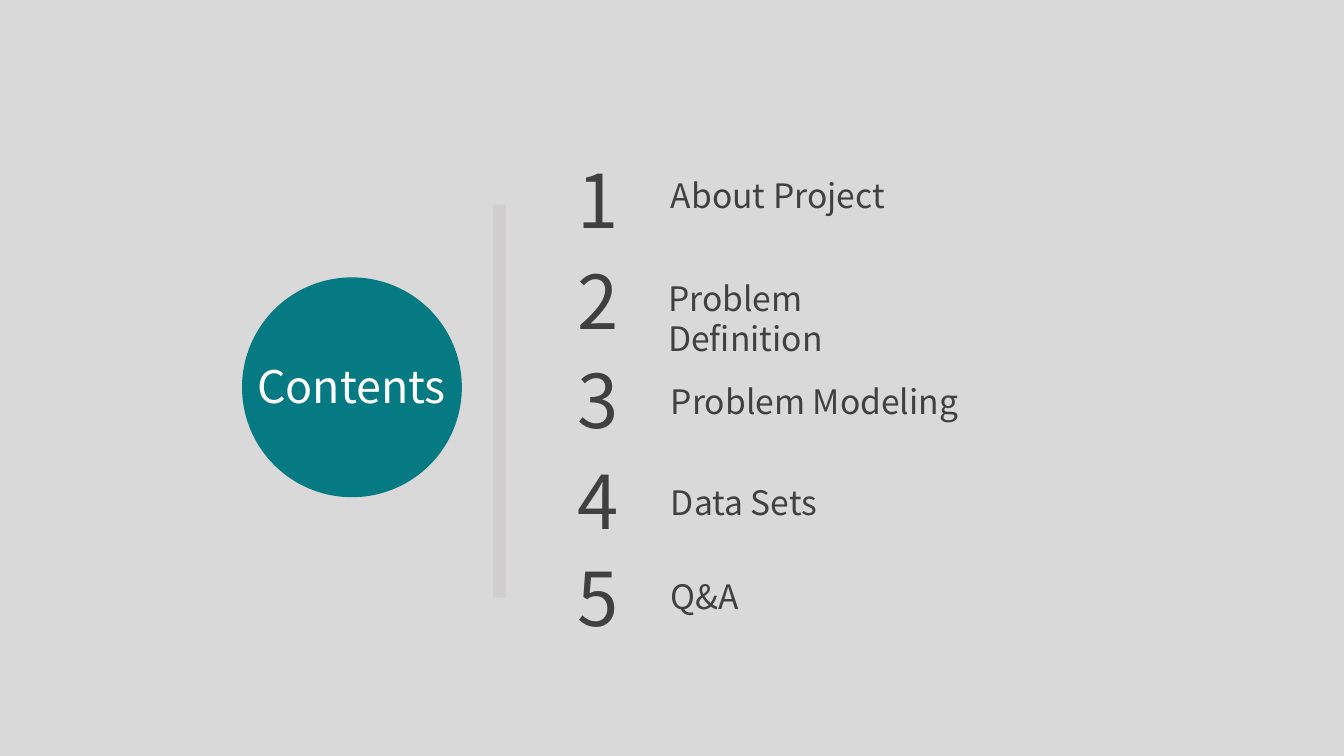
from dataclasses import dataclass

from pptx import Presentation
from pptx.dml.color import RGBColor
from pptx.enum.shapes import MSO_SHAPE
from pptx.enum.text import MSO_ANCHOR, MSO_AUTO_SIZE, PP_ALIGN
from pptx.util import Cm, Pt


@dataclass(frozen=True)
class Theme:
    font: str = "Noto Sans CJK KR"
    background: RGBColor = RGBColor(0xD9, 0xD9, 0xD9)
    accent: RGBColor = RGBColor(0x06, 0x7A, 0x82)
    divider: RGBColor = RGBColor(0xD0, 0xCE, 0xCE)
    text: RGBColor = RGBColor(0x40, 0x40, 0x40)
    title_text: RGBColor = RGBColor(0xFF, 0xFF, 0xFF)
    title_size: int = 32
    number_size: int = 53
    label_size: int = 24


class SlideBuilder:
    def __init__(self, slide, theme):
        self.slide = slide
        self.theme = theme
        fill = slide.background.fill
        fill.solid()
        fill.fore_color.rgb = theme.background

    def block(self, preset, left, top, width, height, color):
        shape = self.slide.shapes.add_shape(
            preset, Cm(left), Cm(top), Cm(width), Cm(height))
        shape.shadow.inherit = False
        shape.fill.solid()
        shape.fill.fore_color.rgb = color
        shape.line.fill.background()
        return shape

    def set_text(self, shape, text, size, color, wrap=False, align=PP_ALIGN.LEFT):
        frame = shape.text_frame
        frame.word_wrap = wrap
        frame.auto_size = MSO_AUTO_SIZE.SHAPE_TO_FIT_TEXT
        frame.vertical_anchor = MSO_ANCHOR.TOP
        paragraph = frame.paragraphs[0]
        paragraph.alignment = align
        paragraph.line_spacing = 1.0
        run = paragraph.add_run()
        run.text = text
        run.font.name = self.theme.font
        run.font.size = Pt(size)
        run.font.color.rgb = color

    def text(self, text, left, top, width, height, size, wrap=False):
        box = self.slide.shapes.add_textbox(
            Cm(left), Cm(top), Cm(width), Cm(height))
        self.set_text(box, text, size, self.theme.text, wrap)

    def title(self, text, left, top, width, height, behind):
        title = self.slide.shapes.title
        title.left, title.top = Cm(left), Cm(top)
        title.width, title.height = Cm(width), Cm(height)
        self.set_text(title, text, self.theme.title_size,
                      self.theme.title_text, align=PP_ALIGN.CENTER)
        behind.element.addnext(title.element)


def main():
    presentation = Presentation()
    presentation.slide_width, presentation.slide_height = Cm(33.87), Cm(19.05)
    theme = Theme()
    slide = presentation.slides.add_slide(presentation.slide_layouts[5])
    builder = SlideBuilder(slide, theme)

    circle = builder.block(MSO_SHAPE.OVAL, 6.1, 6.99, 5.54, 5.54, theme.accent)
    builder.title("Contents", 6.22, 8.92, 5.28, 1.63, circle)
    builder.block(MSO_SHAPE.RECTANGLE, 12.42, 5.16, 0.33, 9.9, theme.divider)

    entries = [
        ("About Project", 3.76, 16.66, 4.29, 6.07, False),
        ("Problem Definition", 6.3, 16.59, 6.88, 7.6, True),
        ("Problem Modeling", 8.81, 16.66, 9.47, 7.75, False),
        ("Data Sets", 11.35, 16.66, 12.01, 4.52, False),
        ("Q&A", 13.79, 16.66, 14.4, 2.44, False),
    ]
    for number, entry in enumerate(entries, start=1):
        label, number_top, label_left, label_top, label_width, wrap = entry
        builder.text(str(number), 14.3, number_top, 1.6, 2.51, theme.number_size)
        builder.text(label, label_left, label_top, label_width, 1.27,
                     theme.label_size, wrap)

    presentation.save("out.pptx")


if __name__ == "__main__":
    main()
